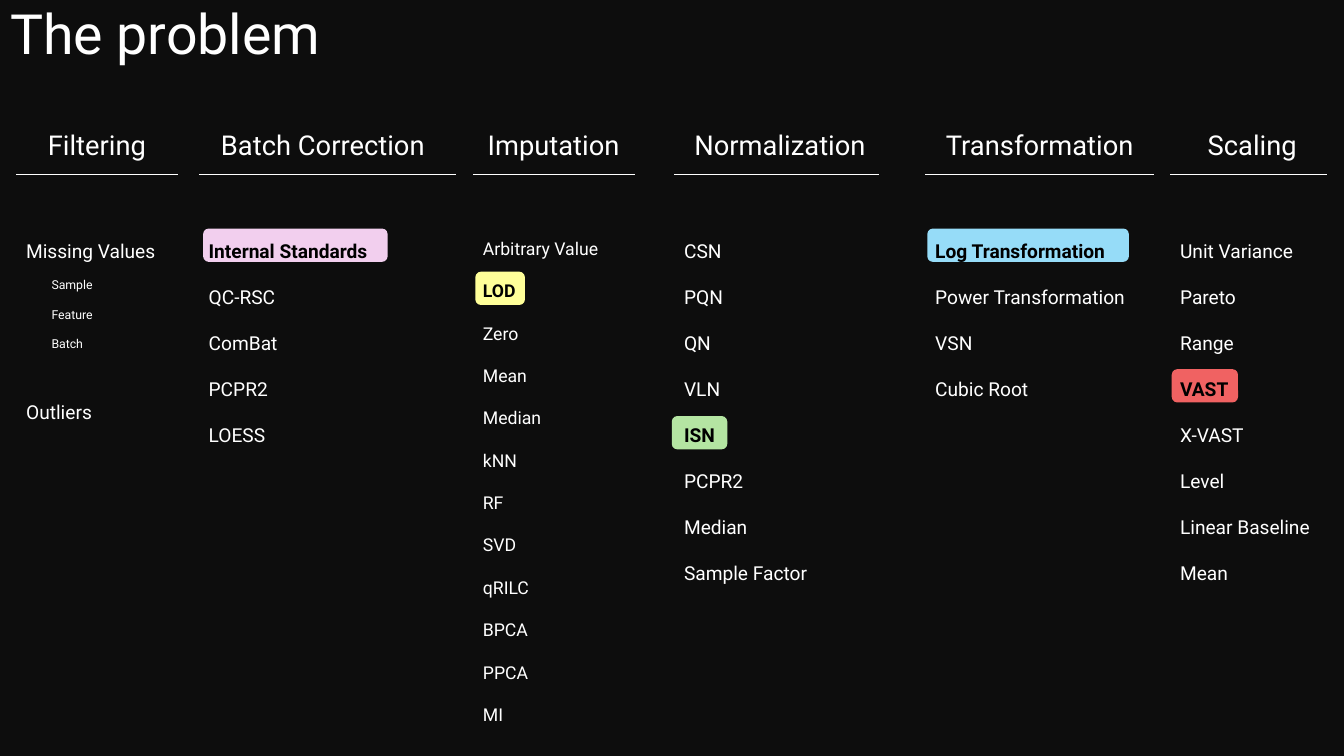
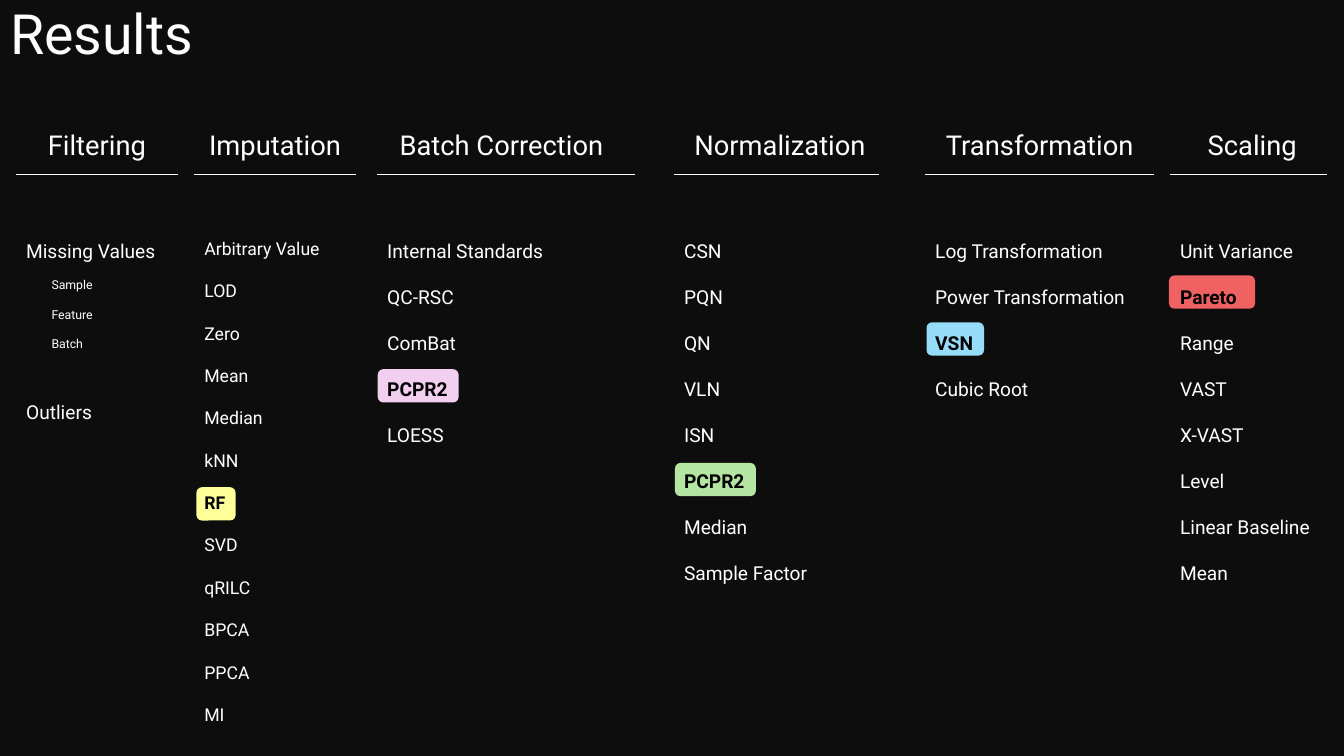
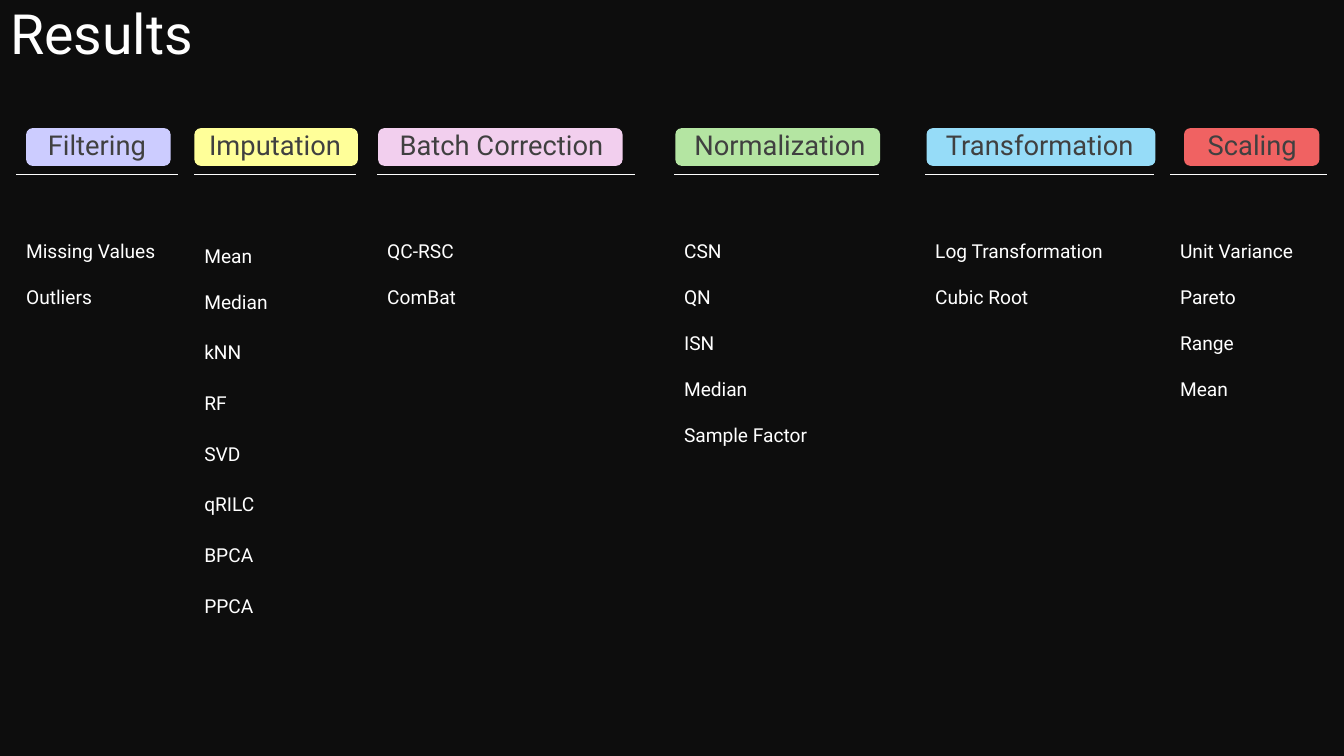
import dataclasses
import functools

import lxml.etree
import pptx
import pptx.dml.color
import pptx.enum.shapes
import pptx.enum.text
import pptx.oxml.ns
import pptx.util

Cm = pptx.util.Cm
Pt = pptx.util.Pt
MIDDLE = pptx.enum.text.MSO_ANCHOR.MIDDLE
TOP = pptx.enum.text.MSO_ANCHOR.TOP
LEFT = pptx.enum.text.PP_ALIGN.LEFT
CENTER = pptx.enum.text.PP_ALIGN.CENTER


@dataclasses.dataclass(frozen=True)
class Theme:
    font: str = "Roboto"
    background: str = "0D0D0D"
    text: str = "FFFFFF"
    marked_text: str = "000000"
    pill_heading: str = "404040"
    lilac: str = "CCCCFF"
    yellow: str = "FFFF99"
    pink: str = "F2CFEE"
    green: str = "B4E5A2"
    blue: str = "96DCF8"
    red: str = "F06262"
    title_size: float = 39.6
    heading_size: float = 19.5
    entry_size: float = 13.7
    small_entry_size: float = 12.6
    sub_entry_size: float = 8.8
    heading_top: float = 3.0
    heading_height: float = 1.4
    list_top: float = 5.33


THEME = Theme()


@dataclasses.dataclass(frozen=True)
class Entry:
    text: str
    size: float = THEME.entry_size
    spacing: float = 2.0
    before: float = 0
    indent: float = 0


@dataclasses.dataclass(frozen=True)
class Pill:
    """Coloured mark; without an entry it lies behind the heading."""
    left: float
    width: float
    entry: str = ""


@dataclasses.dataclass(frozen=True)
class Column:
    """One processing step; lengths are centimetres."""
    name: str
    colour: str
    left: float
    width: float
    height: float
    heading_left: float
    heading_width: float
    entries: tuple = ()
    pill: Pill = None


def entries(*names, size=THEME.entry_size, spacing=2.0):
    return tuple(Entry(name, size, spacing) for name in names)


sub_entry = functools.partial(Entry, size=THEME.sub_entry_size, indent=0.64)

FILTERING = Column("Filtering", THEME.lilac, 0.41, 4.07, 7.85, 0.41, 4.07, (
    Entry("Missing Values"), sub_entry("Sample"), sub_entry("Feature"),
    sub_entry("Batch"), Entry("Outliers", before=18.7)))
IMPUTATION = Column("Imputation", THEME.yellow, 4.9, 4.07, 13.72, 4.9, 4.07, entries(
    "Arbitrary Value", "LOD", "Zero", "Mean", "Median", "kNN", "RF", "SVD",
    "qRILC", "BPCA", "PPCA", "MI", size=THEME.small_entry_size))
BATCH = Column("Batch Correction", THEME.pink, 9.51, 6.49, 9.45, 9.4, 6.48, entries(
    "Internal Standards", "QC-RSC", "ComBat", "PCPR2", "LOESS"))
NORMALIZATION = Column("Normalization", THEME.green, 16.99, 5.16, 10.72, 16.42, 6.48, entries(
    "CSN", "PQN", "QN", "VLN", "ISN", "PCPR2", "Median", "Sample Factor"))
TRANSFORMATION = Column("Transformation", THEME.blue, 23.32, 5.77, 9.45, 23.32, 5.77, entries(
    "Log Transformation", "Power Transformation", "VSN", "Cubic Root"))
SCALING = Column("Scaling", THEME.red, 29.49, 3.96, 10.72, 29.67, 3.78, entries(
    "Unit Variance", "Pareto", "Range", "VAST", "X-VAST", "Level",
    "Linear Baseline", "Mean"))

vary = dataclasses.replace


def moved(column, shift):
    return vary(column, left=column.left + shift, heading_left=column.heading_left + shift)


def rgb(colour):
    return pptx.dml.color.RGBColor.from_string(colour)


def style_paragraph(para, size, colour, spacing, align=LEFT, bold=False):
    para.alignment = align
    para.line_spacing = spacing
    for span in para.runs:
        span.font.name = THEME.font
        span.font.size = Pt(size)
        span.font.bold = bold
        span.font.color.rgb = rgb(colour)


def prepare_frame(box, anchor):
    frame = box.text_frame
    frame.word_wrap = True
    frame.auto_size = pptx.enum.text.MSO_AUTO_SIZE.NONE
    frame.vertical_anchor = anchor
    return frame


def add_text_box(page, left, top, width, height, anchor):
    box = page.shapes.add_textbox(Cm(left), Cm(top), Cm(width), Cm(height))
    return prepare_frame(box, anchor)


def add_title(page, text, width):
    title = page.shapes.title
    title.left, title.top, title.width, title.height = 0, 0, Cm(width), Cm(1.83)
    frame = prepare_frame(title, MIDDLE)
    frame.text = text
    style_paragraph(frame.paragraphs[0], THEME.title_size, THEME.text, 0.9)


def add_heading(page, column, colour):
    frame = add_text_box(page, column.heading_left, THEME.heading_top,
                         column.heading_width, THEME.heading_height, MIDDLE)
    frame.text = column.name
    style_paragraph(frame.paragraphs[0], THEME.heading_size, colour, 0.9, CENTER)


def add_rule(page, column):
    height = Cm(THEME.heading_top + THEME.heading_height)
    rule = page.shapes.add_connector(
        pptx.enum.shapes.MSO_CONNECTOR.STRAIGHT,
        Cm(column.left), height, Cm(column.left + column.width), height)
    rule.line.color.rgb = rgb(THEME.text)
    rule.line.width = Pt(0.5)
    properties = rule._element.spPr
    lxml.etree.SubElement(properties, pptx.oxml.ns.qn("a:effectLst"))


def add_pill(page, column):
    pill = column.pill
    if pill.entry:
        row = [entry.text for entry in column.entries].index(pill.entry)
        pitch = column.entries[row].size * 0.0862
        top, height = 5.76 + row * pitch, 0.84
    else:
        top, height = 3.23, 0.95
    shape = page.shapes.add_shape(
        pptx.enum.shapes.MSO_SHAPE.ROUNDED_RECTANGLE,
        Cm(pill.left), Cm(top), Cm(pill.width), Cm(height))
    shape.shadow.inherit = False
    shape.fill.solid()
    shape.fill.fore_color.rgb = rgb(column.colour)
    shape.line.fill.background()


def add_list(page, column):
    frame = add_text_box(page, column.left, THEME.list_top, column.width, column.height, TOP)
    frame.text = "\n".join(entry.text for entry in column.entries)
    for para, entry in zip(frame.paragraphs, column.entries):
        marked = column.pill is not None and column.pill.entry == entry.text
        if entry.indent:
            para.level = 1
            properties = para._p.get_or_add_pPr()
            properties.set("marL", str(Cm(entry.indent)))
            properties.set("indent", "0")
        if entry.before:
            para.space_before = Pt(entry.before)
        style_paragraph(para, entry.size, THEME.marked_text if marked else THEME.text,
                        entry.spacing, bold=marked)


def add_page(deck, title, title_width, columns, heading_colour=THEME.text):
    page = deck.slides.add_slide(deck.slide_layouts.get_by_name("Title Only"))
    add_title(page, title, title_width)
    for column in columns:
        if column.pill:
            add_pill(page, column)
        add_list(page, column)
        add_heading(page, column, heading_colour)
        add_rule(page, column)


def main():
    deck = pptx.Presentation()
    deck.slide_width, deck.slide_height = Cm(33.87), Cm(19.05)
    background = deck.slide_master.background.fill
    background.solid()
    background.fore_color.rgb = rgb(THEME.background)

    add_page(deck, "The problem", 12.24, [
        FILTERING,
        vary(moved(BATCH, -4.5), pill=Pill(5.12, 4.65, "Internal Standards")),
        vary(moved(IMPUTATION, 7.02), pill=Pill(11.98, 1.25, "LOD")),
        vary(NORMALIZATION, pill=Pill(16.93, 1.4, "ISN")),
        vary(TRANSFORMATION, pill=Pill(23.37, 5.08, "Log Transformation")),
        vary(SCALING, pill=Pill(29.53, 1.67, "VAST")),
    ])
    add_page(deck, "Results", 8.71, [
        FILTERING,
        vary(IMPUTATION, pill=Pill(4.95, 0.99, "RF")),
        vary(BATCH, pill=Pill(9.52, 2.04, "PCPR2")),
        vary(NORMALIZATION, pill=Pill(17.01, 2.04, "PCPR2")),
        vary(TRANSFORMATION, pill=Pill(23.35, 1.45, "VSN")),
        vary(SCALING, pill=Pill(29.46, 2.17, "Pareto")),
    ])
    imputation_results = (
        entries("Mean", spacing=2.2) + entries("Median")
        + entries("kNN", "RF", "SVD", "qRILC", "BPCA", "PPCA", spacing=2.2))
    add_page(deck, "Results", 8.71, [
        vary(FILTERING, entries=entries("Missing Values", "Outliers"), pill=Pill(0.66, 3.64)),
        vary(IMPUTATION, entries=imputation_results, height=10.95, pill=Pill(4.9, 4.12)),
        vary(BATCH, entries=entries("QC-RSC", "ComBat"), height=3.18, pill=Pill(9.53, 6.16)),
        vary(NORMALIZATION, height=9.45, pill=Pill(17.02, 5.16),
             entries=entries("CSN", "QN", "ISN", "Median", "Sample Factor")),
        vary(TRANSFORMATION, pill=Pill(23.35, 5.77),
             entries=entries("Log Transformation", "Cubic Root")),
        vary(SCALING, pill=Pill(29.84, 3.41),
             entries=entries("Unit Variance", "Pareto", "Range", "Mean")),
    ], heading_colour=THEME.pill_heading)

    deck.save("out.pptx")


if __name__ == "__main__":
    main()
